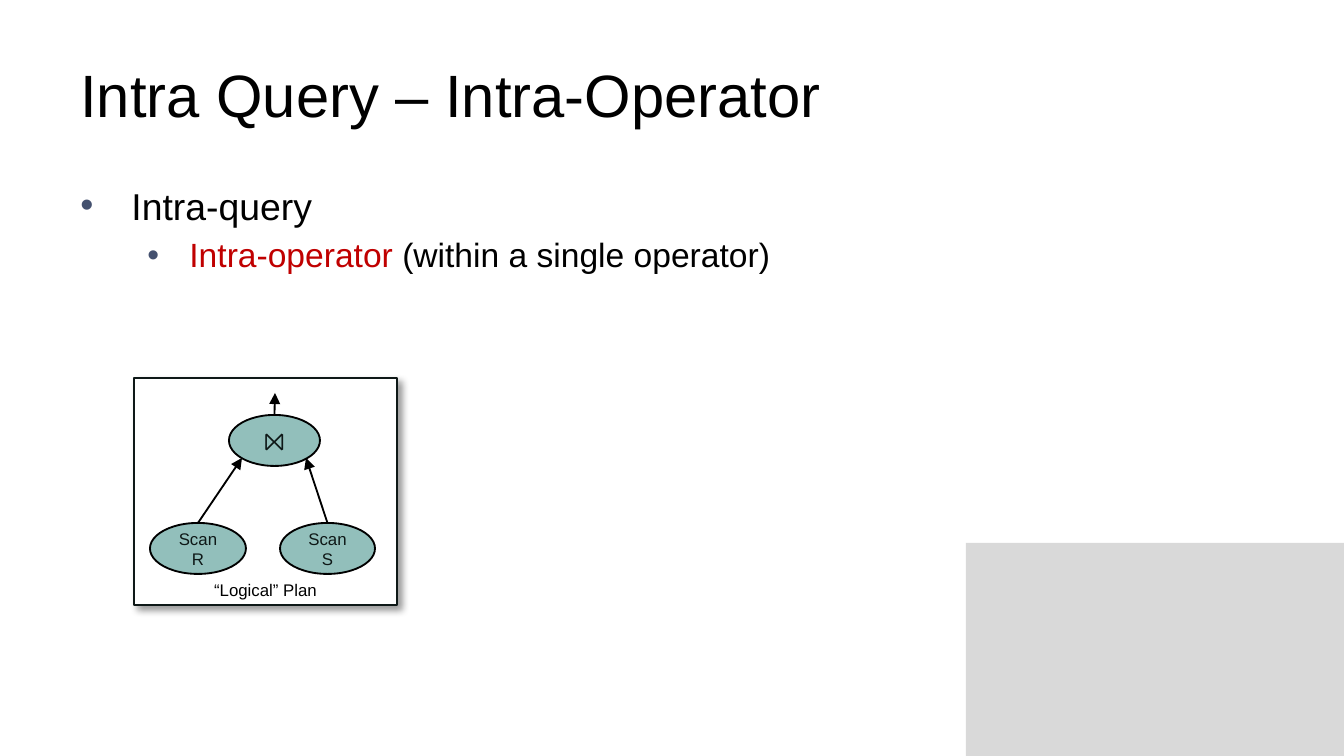
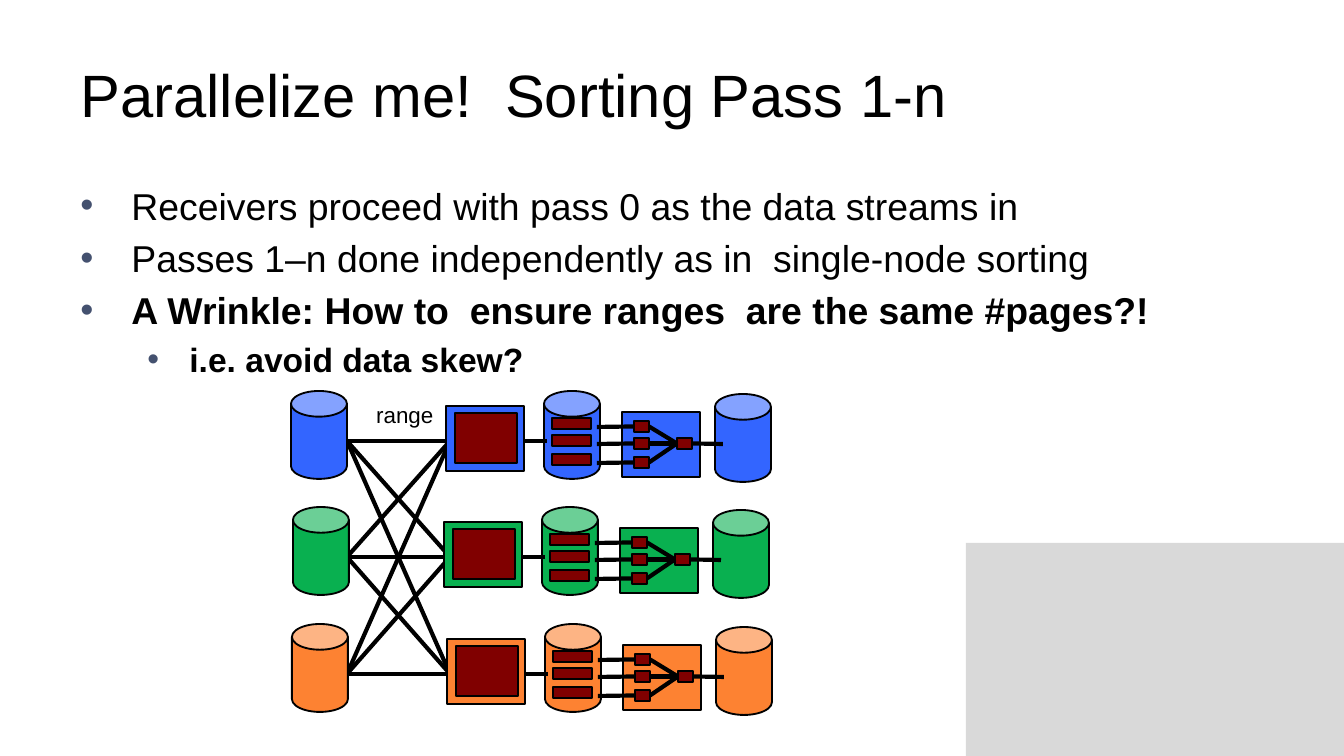
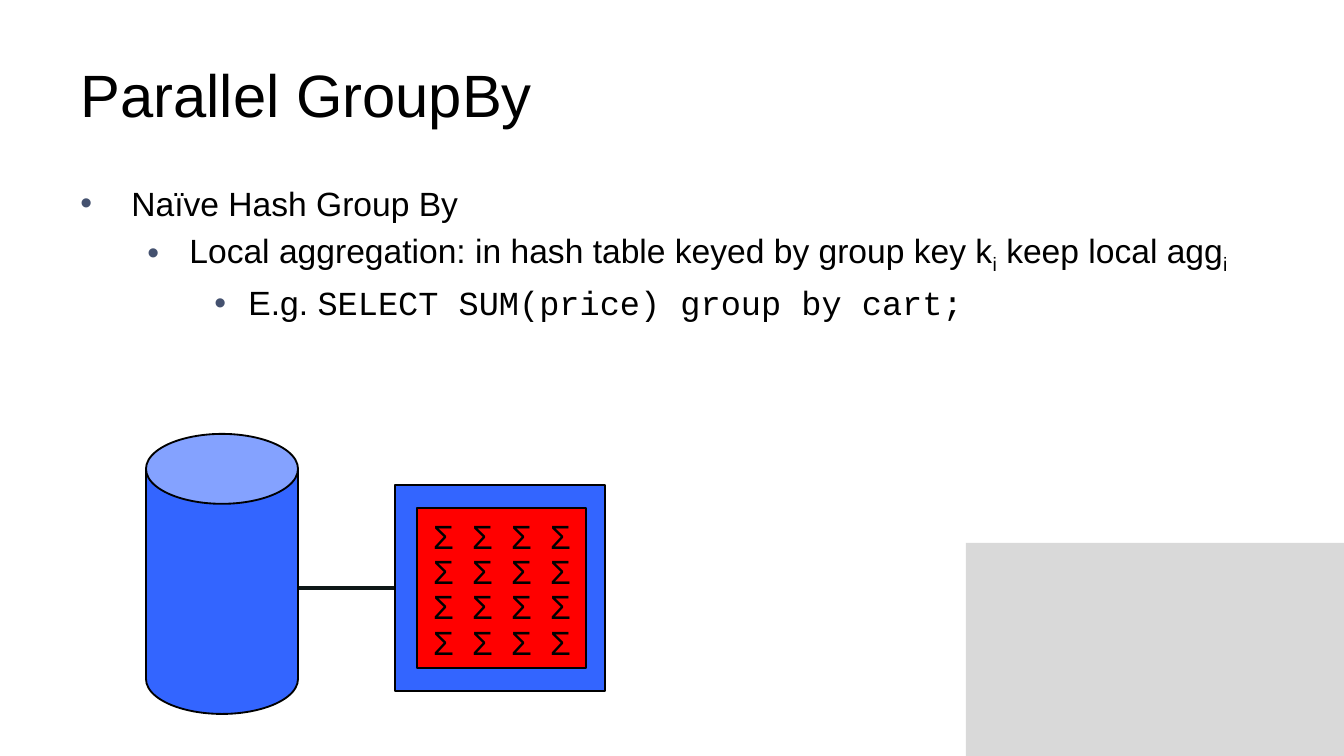
import lxml.etree
import pptx
import pptx.dml.color
import pptx.enum.shapes
import pptx.enum.text
import pptx.oxml.ns
import pptx.util

KIND = pptx.enum.shapes.MSO_SHAPE
ALIGN = pptx.enum.text.PP_ALIGN
ANCHOR = pptx.enum.text.MSO_ANCHOR
FIT = pptx.enum.text.MSO_AUTO_SIZE
TOP, LEFT, RIGHT = 0, 1, 3

# Shared look
HEX = {"black": "000000", "white": "FFFFFF", "gray": "D9D9D9", "ink": "0E1817",
       "bullet": "44516F", "accent": "C00000", "teal": "92BFBB", "blue": "3365FF",
       "green": "09B050", "orange": "FD8232", "maroon": "800000", "red": "FF0000"}
SIZE = (1344, 756)
TITLE = (67, 31, 1210, 126)
BODY = (67, 176, 1210, 499)
BLOCK = (966, 543, 378, 213)
INDENT = ((51, -51), (109, -42), (168, -34))

# Content: a list item is level, size, runs; a run is text, format
SUB = {"base": -25000}
SLIDES = [
    ("Intra Query – Intra-Operator", [
        (0, 20, [("Intra-query", {})]),
        (1, 18, [("Intra-operator", {"color": "accent"}),
                 (" (within a single operator)", {})])]),
    ("Parallelize me!  Sorting Pass 1-n", [
        (0, 20, [("Receivers proceed with pass 0 as the data streams in", {})]),
        (0, 20, [("Passes 1–n done independently as in  single-node sorting", {})]),
        (0, 20, [("A Wrinkle: How to  ensure ranges  are the same #pages?!", {"bold": True})]),
        (1, 18, [("i.e. avoid data skew?", {"bold": True})])]),
    ("Parallel GroupBy", [
        (0, 18, [("Naïve Hash Group By", {})]),
        (1, 18, [("Local aggregation: in hash table keyed by group key k", {}), ("i", SUB),
                 (" keep local agg", {}), ("i", SUB)]),
        (2, 18, [("E.g. ", {}),
                 ("SELECT SUM(price) group by cart;", {"font": "Courier New"})])]),
]
# Scan name, place, where its arrow meets the join
SCANS = [("Scan S", (280, 523, 95, 51), (306, 458)),
         ("Scan R", (150, 523, 96, 51), (242, 458))]
# Node colour, top, shift of the source, shift of the other parts
NODES = [("blue", 0, 0, 0), ("green", 116, 2, -2), ("orange", 233, 1, 1)]
LANE = 441


def px(n):
    return pptx.util.Emu(round(n * 914400 / 134.4))


def rgb(name):
    return pptx.dml.color.RGBColor.from_string(HEX[name])


def node(parent, tag, **attrs):
    return lxml.etree.SubElement(parent, pptx.oxml.ns.qn("a:" + tag),
                                 {key: str(val) for key, val in attrs.items()})


def write(para, text, size=18, color="black", font="Arial", bold=None, align=None, base=None):
    run = para.add_run()
    run.text = text
    run.font.size = pptx.util.Pt(size)
    run.font.name = font
    run.font.bold = bold
    run.font.color.rgb = rgb(color)
    if align is not None:
        para.alignment = align
    if base:
        run.font._element.set("baseline", str(base))


def shape(fig, kind, box, fill, line="black"):
    item = fig.shapes.add_shape(kind, *map(px, box))
    item.shadow.inherit = False
    item.fill.solid()
    item.fill.fore_color.rgb = rgb(fill)
    if line:
        item.line.color.rgb = rgb(line)
        item.line.width = pptx.util.Pt(1)
    else:
        item.line.fill.background()
    if kind == KIND.CAN:
        item.adjustments[0] = 0.46
    return item


def link(fig, start, end, width=2.25, color="black", arrow=False):
    """Each end is an (x, y) point or a (shape, side) pair."""
    ends = [(0, 0) if hasattr(e[0], "shape_id") else e for e in (start, end)]
    wire = fig.shapes.add_connector(pptx.enum.shapes.MSO_CONNECTOR.STRAIGHT,
                                    *(px(n) for point in ends for n in point))
    if hasattr(start[0], "shape_id"):
        wire.begin_connect(*start)
    if hasattr(end[0], "shape_id"):
        wire.end_connect(*end)
    wire.line.color.rgb = rgb(color)
    wire.line.width = pptx.util.Pt(width)
    if arrow:
        node(wire.get_or_add_ln(), "tailEnd", type="triangle")
    node(wire.element.spPr, "effectLst")


def label(fig, box, text, **form):
    frame = fig.shapes.add_textbox(*map(px, box)).text_frame
    frame.word_wrap = False
    frame.auto_size = FIT.SHAPE_TO_FIT_TEXT
    write(frame.paragraphs[0], text, **form)


def place(item, box):
    item.left, item.top, item.width, item.height = map(px, box)


def page(deck, layout, title, items):
    slide = deck.slides.add_slide(layout)
    head, body = slide.placeholders
    place(head, TITLE)
    place(body, BODY)
    head.text_frame.vertical_anchor = ANCHOR.MIDDLE
    write(head.text_frame.paragraphs[0], title, size=32, align=ALIGN.LEFT)
    frame = body.text_frame
    frame.auto_size = FIT.NONE
    for i, (level, size, runs) in enumerate(items):
        para = frame.add_paragraph() if i else frame.paragraphs[0]
        para.level = level
        props = para._p.get_or_add_pPr()
        margin, indent = INDENT[level]
        props.set("marL", str(px(margin)))
        props.set("indent", str(px(indent)))
        node(node(props, "spcBef"), "spcPct", val=20000)
        node(node(props, "buClr"), "srgbClr", val=HEX["bullet"])
        node(props, "buFont", typeface="Arial")
        node(props, "buChar", char="•")
        for text, form in runs:
            write(para, text, size=size, **form)
    return slide


def oval(fig, box, text, size):
    item = shape(fig, KIND.OVAL, box, "teal")
    item.text_frame.vertical_anchor = ANCHOR.MIDDLE
    write(item.text_frame.paragraphs[0], text, size=size, color="ink", align=ALIGN.CENTER)
    return item


def plan(fig):
    # Framed panel with a soft shadow and its caption
    panel = shape(fig, KIND.RECTANGLE, (134, 378, 263, 227), "white", "ink")
    effect = panel.element.spPr.find(pptx.oxml.ns.qn("a:effectLst"))
    shade = node(effect, "outerShdw", blurRad=pptx.util.Pt(4), dist=pptx.util.Pt(3),
                 dir=45 * 60000, algn="tl", rotWithShape=0)
    node(node(shade, "srgbClr", val=HEX["black"]), "alpha", val=40000)
    frame = panel.text_frame
    frame.margin_left = frame.margin_right = px(9)
    frame.margin_top = frame.margin_bottom = px(5)
    frame.vertical_anchor = ANCHOR.BOTTOM
    write(frame.paragraphs[0], "“Logical” Plan", size=9, align=ALIGN.CENTER)
    # Operators and data flow
    join = oval(fig, (229, 415, 91, 51), "⨝", 13.5)
    for text, box, end in SCANS:
        link(fig, (oval(fig, box, text, 9), TOP), end, width=1, arrow=True)
    link(fig, (join, TOP), (275, 393), width=1, arrow=True)


def sorter(fig, color, top, first, shift):
    def part(kind, x, y, w, h, fill=color, move=shift):
        return shape(fig, kind, (x + move, y + top, w, h), fill)

    def can(x, y, move=shift):
        part(KIND.CAN, x, y, 56, 88, move=move)

    # Merge of the sorted runs
    part(KIND.RECTANGLE, 622, 412, 78, 65)
    out = part(KIND.RECTANGLE, 677, 438, 15, 11, "maroon")
    can(715, 394)
    can(544, 391)
    for y in (421, 438, 457):
        run = part(KIND.RECTANGLE, 634, y, 15, 11, "maroon")
        link(fig, (run, RIGHT), (out, LEFT))
        link(fig, (run, LEFT), (597 + shift, y + top + 6))
        part(KIND.RECTANGLE, 552, y - 3, 39, 11, "maroon")
    link(fig, (723 + shift, 444 + top), (out, RIGHT))
    link(fig, (515 + shift, LANE + top), (547 + shift, LANE + top))
    # Source disk and receiver
    can(291, 391, first)
    part(KIND.RECTANGLE, 446, 406, 78, 65)
    part(KIND.RECTANGLE, 455, 413, 62, 50, "maroon")


def shuffle(fig):
    # Every source sends to every receiver
    for _, start, _, _ in NODES:
        for _, end, _, _ in NODES:
            link(fig, (347, LANE + start), (450, LANE + end))
    label(fig, (363, 395, 85, 40), "range", size=12)
    for row in NODES:
        sorter(fig, *row)


def table(fig):
    link(fig, (253, 588), (420, 588), color="ink")
    shape(fig, KIND.CAN, (146, 434, 152, 280), "blue")
    shape(fig, KIND.RECTANGLE, (395, 485, 210, 206), "blue")
    shape(fig, KIND.RECTANGLE, (417, 508, 169, 160), "red")
    # Hash table of local sums
    for row in range(4):
        for col in range(4):
            label(fig, (420 + 39 * col, 509 + row * 106 // 3, 47, 54), "Σ")


def main():
    deck = pptx.Presentation()
    deck.slide_width, deck.slide_height = map(px, SIZE)
    layout = deck.slide_layouts[1]
    for (title, items), draw in zip(SLIDES, (plan, shuffle, table)):
        slide = page(deck, layout, title, items)
        draw(slide.shapes.add_group_shape())
    # Corner block, moved to the back of the layout
    block = shape(deck.slides[0], KIND.RECTANGLE, BLOCK, "gray", None)
    layout.shapes.element.insert(2, block.element)
    deck.save("out.pptx")


if __name__ == "__main__":
    main()
